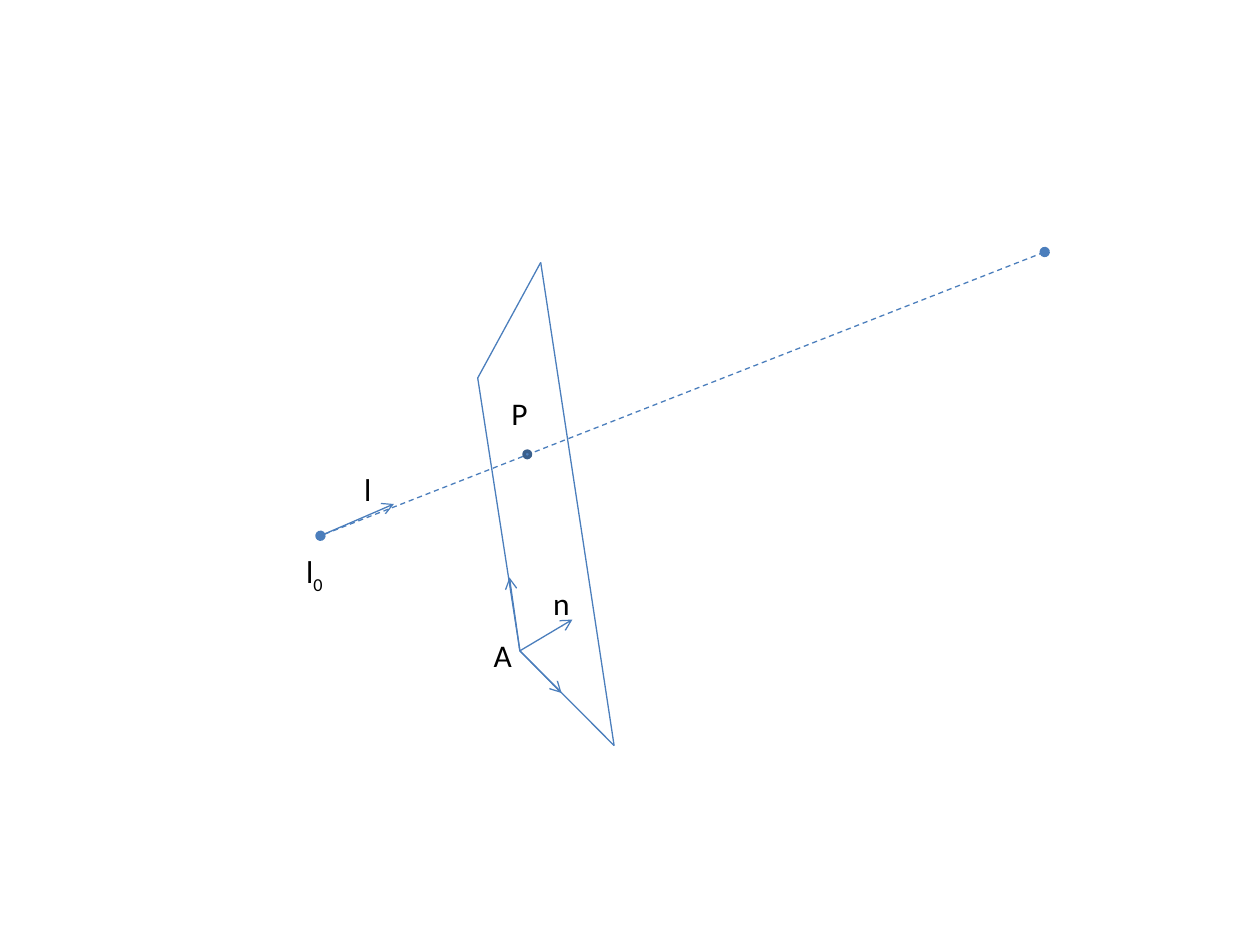
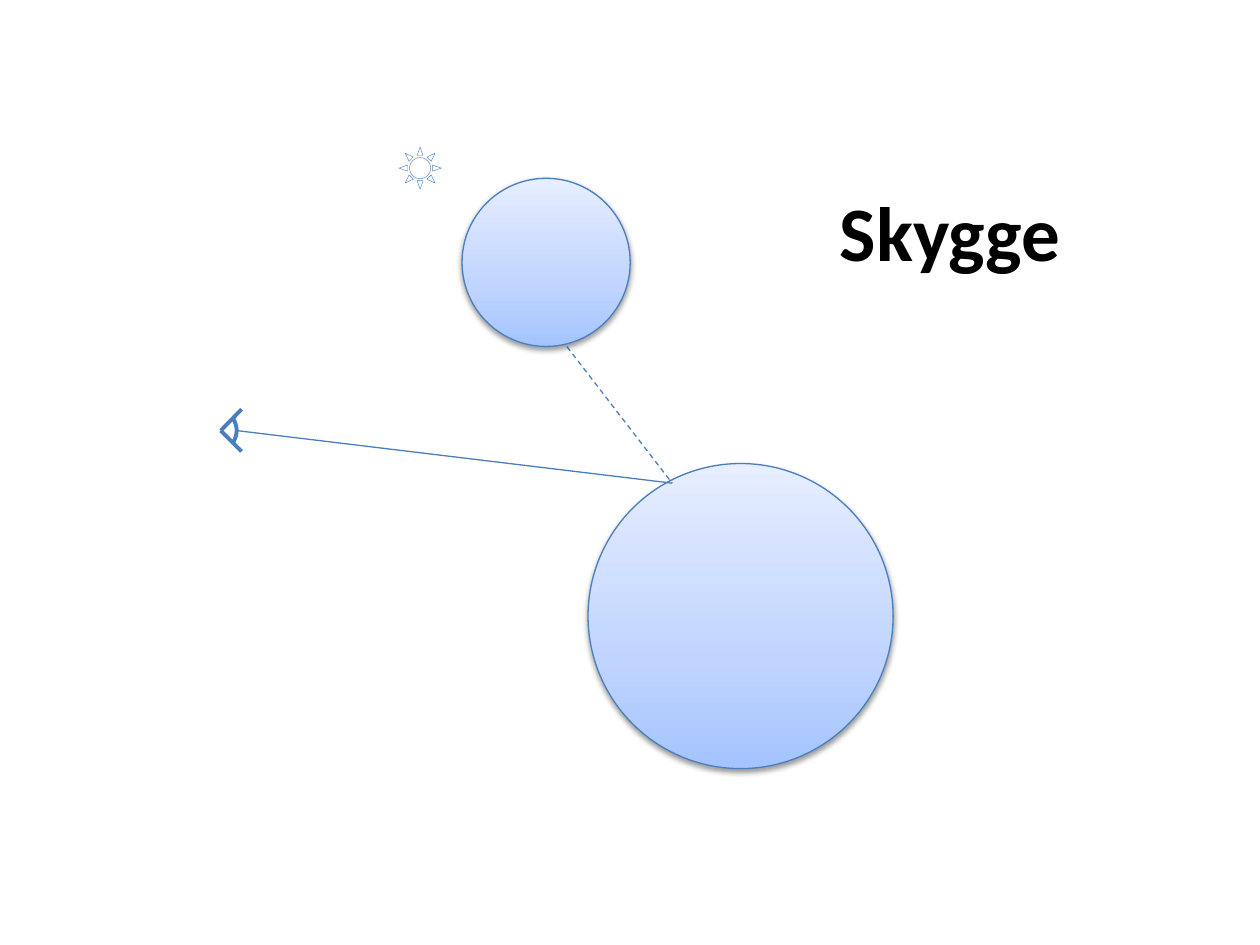
"""Build two ray tracing sketches: a ray crossing a plane, and a shadow test."""
import copy
import math
from dataclasses import dataclass

from lxml import etree
from pptx import Presentation
from pptx import util as u
from pptx.dml.color import RGBColor
from pptx.enum import dml, shapes, text
from pptx.oxml import ns


@dataclass(frozen=True)
class Theme:
    font: str = "Calibri"
    ink: str = "000000"
    paper: str = "FFFFFF"
    stroke: str = "4B7EBC"
    accent: str = "4F81BD"
    accent_dark: str = "3A5F8C"
    sphere: tuple = ((0, "A4C4FF"), (0.35, "BFD4FF"), (1, "E6EEFF"))
    label_size: int = 18
    title_size: int = 44
    hairline: float = 0.25
    thin: float = 0.75
    medium: float = 2
    thick: float = 2.25


def rgb(value):
    return RGBColor.from_string(value)


def add_xml(parent, tag, **attributes):
    return etree.SubElement(parent, ns.qn(tag), attributes)


def write(frame, content, *, font, size, color, bold=False, align=None, subscript=""):
    paragraph = frame.paragraphs[0]
    paragraph.alignment = align
    for part, baseline in ((content, None), (subscript, "-25000")):
        if not part:
            continue
        run = paragraph.add_run()
        run.text = part
        run.font.name = font
        run.font.size = u.Pt(size)
        run.font.bold = bold
        run.font.color.rgb = rgb(color)
        if baseline:
            run._r.get_or_add_rPr().set("baseline", baseline)


class Sketch:
    def __init__(self, deck, theme):
        self.deck = deck
        self.theme = theme
        self.slide = None

    def new_slide(self, layout):
        self.slide = self.deck.slides.add_slide(self.deck.slide_layouts.get_by_name(layout))

    def title(self, content, left, top, width, height):
        heading = self.slide.shapes.title
        heading.left, heading.top = u.Cm(left), u.Cm(top)
        heading.width, heading.height = u.Cm(width), u.Cm(height)
        heading.text_frame.vertical_anchor = text.MSO_ANCHOR.MIDDLE
        write(heading.text_frame, content, font=self.theme.font, size=self.theme.title_size,
              color=self.theme.ink, bold=True, align=text.PP_ALIGN.CENTER)

    def label(self, content, left, top, width, subscript=""):
        box = self.slide.shapes.add_textbox(u.Cm(left), u.Cm(top), u.Cm(width), u.Cm(1.02))
        box.text_frame.word_wrap = False
        box.text_frame.auto_size = text.MSO_AUTO_SIZE.SHAPE_TO_FIT_TEXT
        write(box.text_frame, content, font=self.theme.font, size=self.theme.label_size,
              color=self.theme.ink, subscript=subscript)

    def outline(self, line, color, weight):
        line.color.rgb = rgb(color)
        line.width = u.Pt(weight)

    def line(self, start, end, weight=None, dashed=False, head=None, tail=None):
        ray = self.slide.shapes.add_connector(
            shapes.MSO_CONNECTOR.STRAIGHT, *(u.Cm(value) for value in (*start, *end)))
        self.outline(ray.line, self.theme.stroke, weight or self.theme.thin)
        if dashed:
            ray.line.dash_style = dml.MSO_LINE.DASH
        for tag, kind in (("a:headEnd", head), ("a:tailEnd", tail)):
            if kind:
                add_xml(ray.line._get_or_add_ln(), tag, type=kind)
        add_xml(ray._element.spPr, "a:effectLst")

    def figure(self, kind, center, size, fill, stroke, weight):
        left, top = (u.Cm(value - size / 2) for value in center)
        figure = self.slide.shapes.add_shape(kind, left, top, u.Cm(size), u.Cm(size))
        if fill:
            figure.fill.solid()
            figure.fill.fore_color.rgb = rgb(fill)
        self.outline(figure.line, stroke, weight)
        figure.shadow.inherit = False
        return figure

    def sphere(self, center, size):
        ball = self.figure(shapes.MSO_SHAPE.OVAL, center, size, None,
                           self.theme.stroke, self.theme.thin)
        ball.fill.gradient()
        ball.fill.gradient_angle = 90
        properties = ball._element.spPr
        stops = properties.find(".//" + ns.qn("a:gsLst"))
        stops.append(copy.deepcopy(stops[0]))
        for stop, (position, color) in zip(ball.fill.gradient_stops, self.theme.sphere):
            stop.position = position
            stop.color.rgb = rgb(color)
        shadow = add_xml(properties.find(ns.qn("a:effectLst")), "a:outerShdw",
                         blurRad=str(u.Pt(3.1)), dist=str(u.Pt(1.6)),
                         dir="5400000", rotWithShape="0")
        shade = add_xml(shadow, "a:srgbClr", val=self.theme.ink)
        add_xml(shade, "a:alpha", val="38000")

    def arc(self, center, radius, half_angle, steps=12):
        angles = [math.radians(half_angle * (2 * i / steps - 1)) for i in range(steps + 1)]
        points = [(u.Cm(center[0] + radius * math.cos(a)), u.Cm(center[1] + radius * math.sin(a)))
                  for a in angles]
        builder = self.slide.shapes.build_freeform(*points[0])
        builder.add_line_segments(points[1:], close=False)
        curve = builder.convert_to_shape()
        curve.fill.background()
        self.outline(curve.line, self.theme.stroke, self.theme.thick)
        curve.shadow.inherit = False


def draw_plane_intersection(sketch):
    theme = sketch.theme
    sketch.new_slide("Blank")
    origin_a, upper_left = (10.48, 13.12), (9.63, 7.62)
    upper_right, lower_right = (10.9, 5.29), (12.38, 15.03)
    ray_start = (6.46, 10.8)
    corners = [origin_a, upper_left, upper_right, lower_right]
    for corner, following in zip(corners, corners[1:] + corners[:1]):
        sketch.line(corner, following)
    sketch.line(ray_start, (21.06, 5.08), dashed=True, head="oval", tail="oval")
    sketch.figure(shapes.MSO_SHAPE.OVAL, (10.63, 9.16), 0.13,
                  theme.accent, theme.accent_dark, theme.medium)
    for tip in ((10.27, 11.64), (11.32, 13.97), (11.54, 12.49)):
        sketch.line(origin_a, tip, tail="arrow")
    sketch.line(ray_start, (7.94, 10.16), tail="arrow")
    sketch.label("P", 10.06, 7.82, 0.86)
    sketch.label("A", 9.7, 12.7, 0.89)
    sketch.label("n", 10.9, 11.64, 0.86)
    sketch.label("l", 7.09, 9.35, 0.66)
    sketch.label("l", 5.92, 11, 0.89, subscript="0")


def draw_shadow(sketch):
    theme = sketch.theme
    sketch.new_slide("Title Only")
    sketch.title("Skygge", 15.66, 3.39, 6.99, 2.54)
    eye_corner, hit = (4.45, 8.68), (13.55, 9.74)
    for lid in ((4.87, 8.25), (4.87, 9.1)):
        sketch.line(eye_corner, lid, weight=theme.thick)
    sketch.arc((4.33, 8.68), 0.44, 37)
    sketch.sphere((14.93, 12.42), 6.15)
    sketch.figure(shapes.MSO_SHAPE.SUN, (8.47, 3.39), 0.85,
                  theme.paper, theme.accent, theme.hairline)
    sketch.line((4.77, 8.68), hit)
    sketch.line((11.43, 6.99), hit, dashed=True)
    sketch.sphere((11.01, 5.29), 3.39)


def main():
    deck = Presentation()
    deck.slide_width, deck.slide_height = u.Cm(25.4), u.Cm(19.05)
    sketch = Sketch(deck, Theme())
    draw_plane_intersection(sketch)
    draw_shadow(sketch)
    deck.save("out.pptx")


if __name__ == "__main__":
    main()
